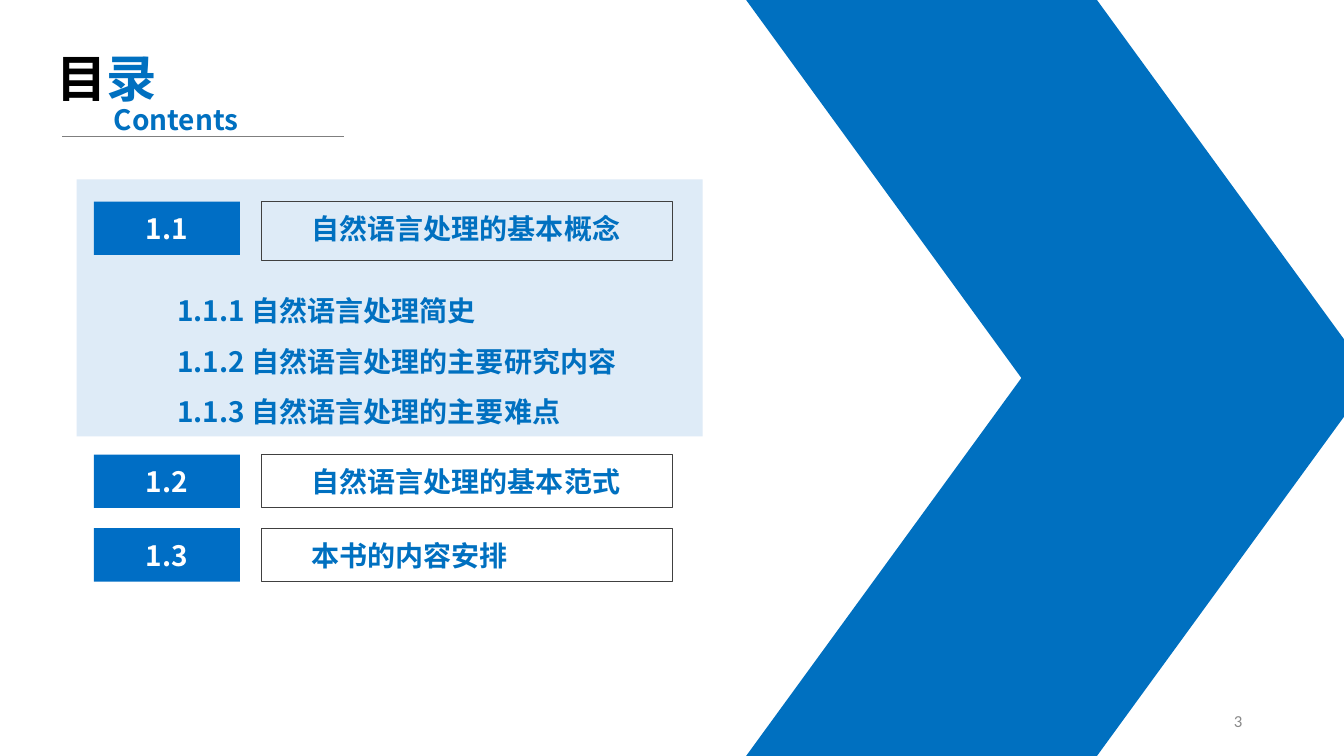
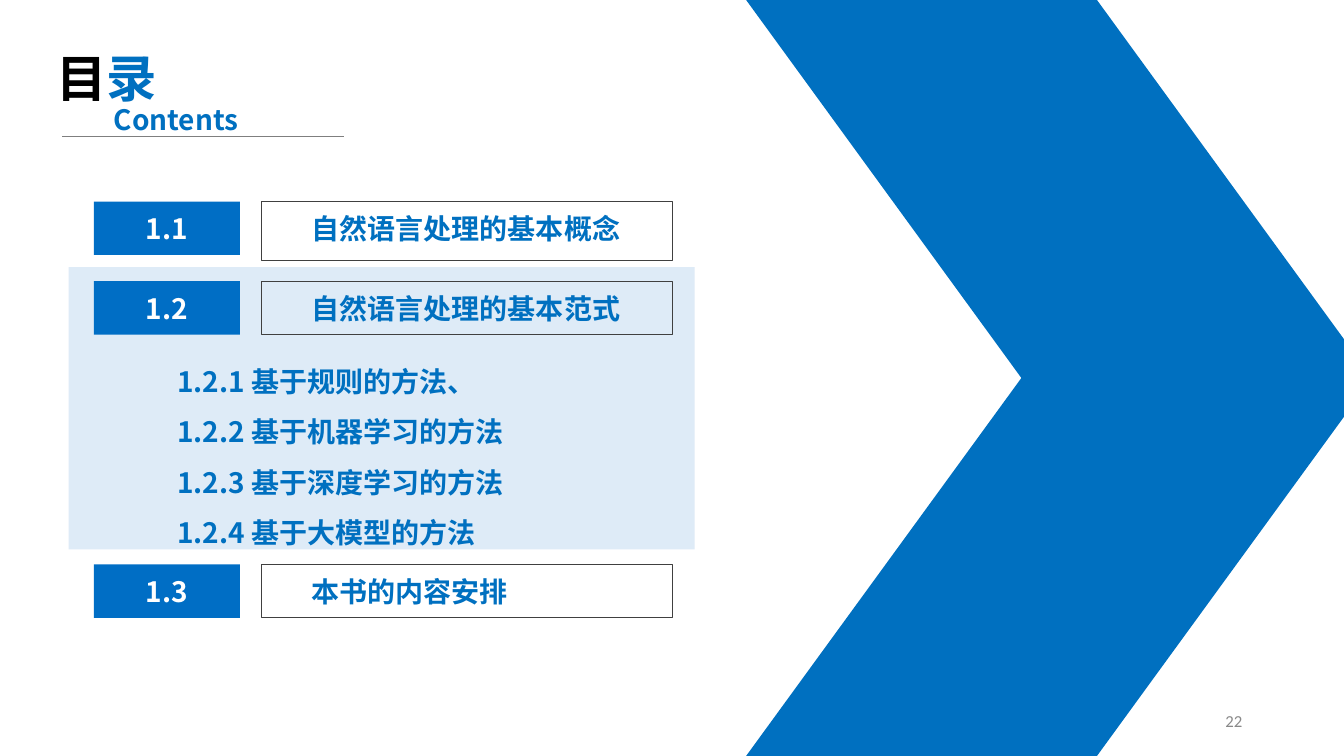
from lxml import etree
from pptx import Presentation
from pptx.dml.color import RGBColor
from pptx.enum.shapes import MSO_CONNECTOR, MSO_SHAPE as SHAPE
from pptx.enum.text import MSO_ANCHOR as ANCHOR, PP_ALIGN as ALIGN
from pptx.oxml.ns import qn
from pptx.util import Inches, Pt

BLUE, CHIP_BLUE, PALE = "0070C0", "006EC5", "DEEBF7"
BLACK, WHITE = "000000", "FFFFFF"
FRAME_GRAY, RULE_GRAY, PAGE_GRAY = "404040", "7F7F7F", "898989"
CJK, LATIN = "Noto Sans CJK SC", "Calibri"

SECTIONS = [
    ("1.1", "自然语言处理的基本概念"),
    ("1.2", "自然语言处理的基本范式"),
    ("1.3", "本书的内容安排"),
]
CHIP_LEFT, CHIP_WIDTH = 0.93, 1.45
FRAME_LEFT, FRAME_WIDTH = 2.59, 4.08
ROW_HEIGHT, FIRST_HEIGHT = 0.53, 0.58


def rgb(color):
    return RGBColor.from_string(color)


class Deck:
    """Holds the presentation, its style and the current slide."""

    def __init__(self):
        self.prs = Presentation()
        self.prs.slide_width, self.prs.slide_height = Inches(13.33), Inches(7.5)
        self.s = None

    def new_slide(self):
        self.s = self.prs.slides.add_slide(self.prs.slide_layouts[6])

    def shape(self, x, y, w, h, fill=None, line=None, kind=SHAPE.RECTANGLE):
        sp = self.s.shapes.add_shape(kind, Inches(x), Inches(y), Inches(w), Inches(h))
        sp.shadow.inherit = False
        if fill:
            sp.fill.solid()
            sp.fill.fore_color.rgb = rgb(fill)
        else:
            sp.fill.background()
        if line:
            sp.line.color.rgb = rgb(line)
            sp.line.width = Pt(0.75)
        else:
            sp.line.fill.background()
        return sp

    def rule(self, x1, x2, y):
        cn = self.s.shapes.add_connector(
            MSO_CONNECTOR.STRAIGHT, Inches(x1), Inches(y), Inches(x2), Inches(y))
        cn.line.color.rgb = rgb(RULE_GRAY)
        cn.line.width = Pt(0.5)
        etree.SubElement(cn._element.spPr, qn("a:effectLst"))

    def run(self, p, text, color=BLUE, size=20, font=CJK, bold=True):
        r = p.add_run()
        r.text = text
        r.font.size, r.font.bold = Pt(size), bold
        r.font.color.rgb = rgb(color)
        r.font.name = font
        etree.SubElement(r._r.get_or_add_rPr(), qn("a:ea")).set("typeface", font)

    def textbox(self, x, y, w, h):
        tf = self.s.shapes.add_textbox(
            Inches(x), Inches(y), Inches(w), Inches(h)).text_frame
        tf.word_wrap = True
        return tf

    def arrow(self):
        """Large arrow made of two mirrored halves."""
        for y in (3.75, 0):
            sp = self.shape(7.4, y, 6.21, 3.75, BLUE, kind=SHAPE.PARALLELOGRAM)
            sp.adjustments[0] = 0.728
            if y == 0:
                sp._element.spPr.find(qn("a:xfrm")).set("flipV", "1")

    def heading(self):
        p = self.textbox(0.46, 0.42, 1.57, 0.71).paragraphs[0]
        self.run(p, "目", BLACK, 36)
        self.run(p, "录", BLUE, 36)
        self.rule(0.62, 3.41, 1.35)
        self.run(self.textbox(1.03, 0.97, 1.57, 0.44).paragraphs[0], "Contents")

    def section(self, y, number, title, height):
        # Frame with the section title
        tf = self.shape(FRAME_LEFT, y, FRAME_WIDTH, height, line=FRAME_GRAY).text_frame
        tf.vertical_anchor = ANCHOR.TOP
        tf.margin_left, tf.margin_top = Inches(0.5), Inches(0.1)
        tf.paragraphs[0].alignment = ALIGN.LEFT
        self.run(tf.paragraphs[0], title)
        # Chip with the section number
        tf = self.shape(CHIP_LEFT, y, CHIP_WIDTH, ROW_HEIGHT, CHIP_BLUE).text_frame
        tf.vertical_anchor = ANCHOR.MIDDLE
        tf.paragraphs[0].alignment = ALIGN.CENTER
        self.run(tf.paragraphs[0], number, WHITE)

    def topics(self, y, lines):
        tf = self.textbox(1.66, y, 6.81, 0.06 + 0.5 * len(lines))
        for i, text in enumerate(lines):
            p = tf.add_paragraph() if i else tf.paragraphs[0]
            p.line_spacing = 1.5
            self.run(p, text)

    def page_number(self, number):
        tf = self.textbox(9.42, 6.95, 3, 0.4)
        tf.vertical_anchor = ANCHOR.MIDDLE
        tf.paragraphs[0].alignment = ALIGN.RIGHT
        self.run(tf.paragraphs[0], str(number), PAGE_GRAY, 12, LATIN, False)

    def contents(self, page, panel, tops, topics_top, topics):
        """Contents slide with one section highlighted and expanded."""
        self.new_slide()
        self.shape(*panel, fill=PALE)
        self.arrow()
        for i, (y, (number, title)) in enumerate(zip(tops, SECTIONS)):
            self.section(y, number, title, ROW_HEIGHT if i else FIRST_HEIGHT)
        self.heading()
        self.page_number(page)
        self.topics(topics_top, topics)


def main():
    deck = Deck()
    # Section 1.1 expanded
    deck.contents(3, (0.76, 1.78, 6.21, 2.55), (2, 4.51, 5.24), 2.7, [
        "1.1.1 自然语言处理简史",
        "1.1.2 自然语言处理的主要研究内容",
        "1.1.3 自然语言处理的主要难点",
    ])
    # Section 1.2 expanded
    deck.contents(22, (0.68, 2.65, 6.21, 2.8), (2, 2.79, 5.6), 3.4, [
        "1.2.1 基于规则的方法、",
        "1.2.2 基于机器学习的方法",
        "1.2.3 基于深度学习的方法",
        "1.2.4 基于大模型的方法",
    ])
    deck.prs.save("out.pptx")


if __name__ == "__main__":
    main()
